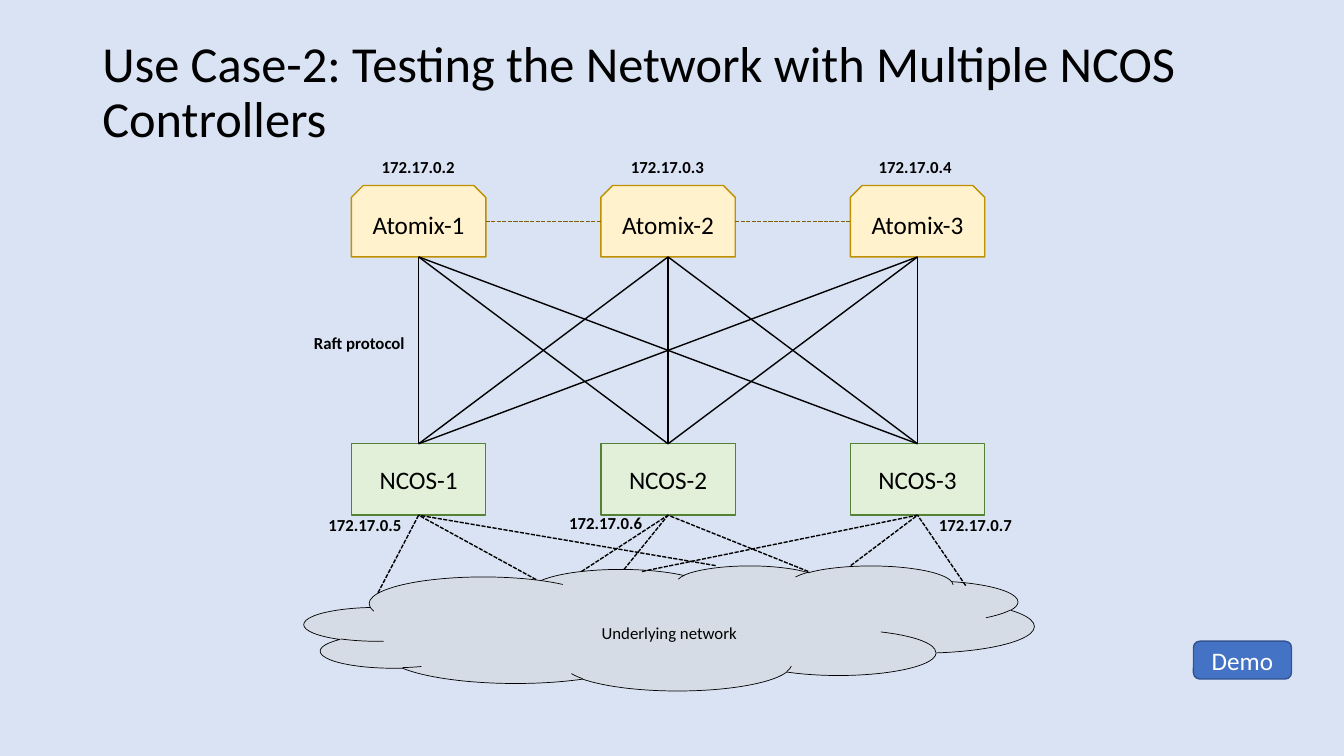
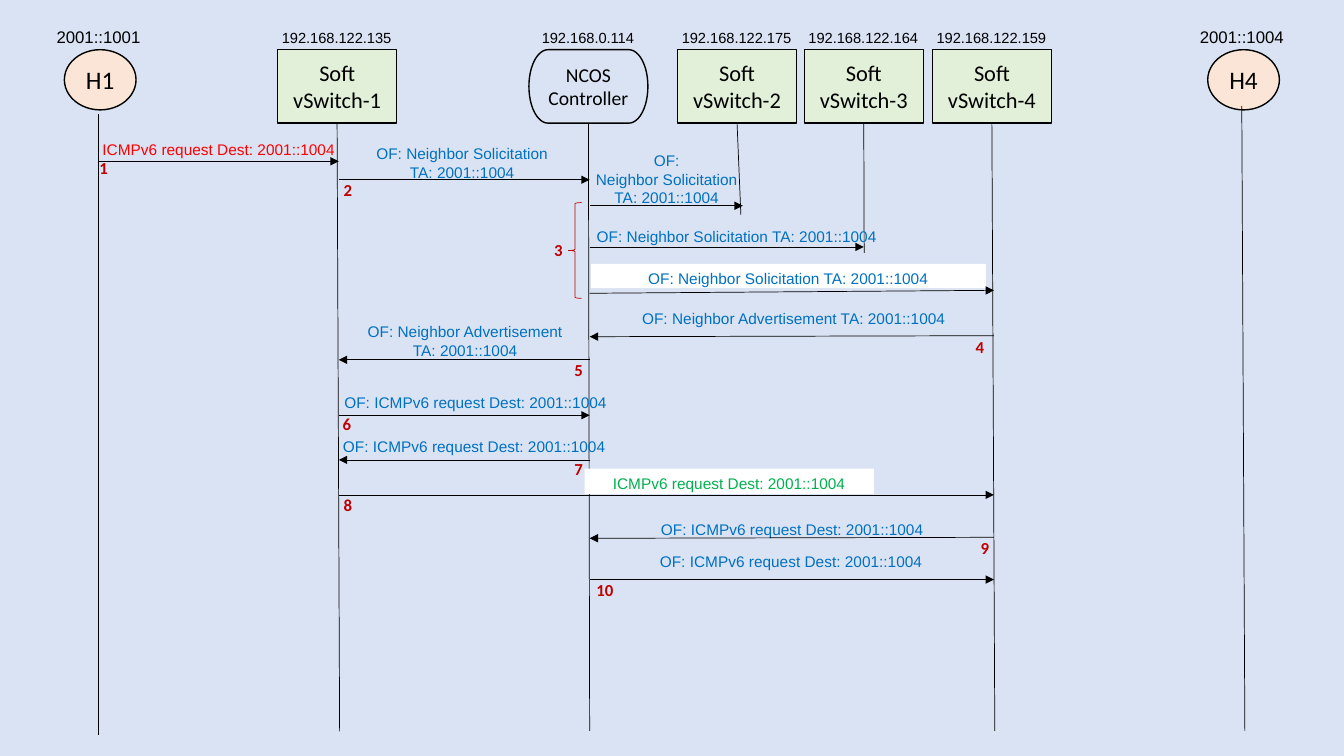
"""Build two slides: a controller cluster diagram and an ICMPv6 message sequence."""
from lxml import etree
from pptx import Presentation
from pptx.dml.color import RGBColor
from pptx.enum.dml import MSO_LINE
from pptx.enum.shapes import MSO_CONNECTOR, MSO_SHAPE as SHAPE
from pptx.enum.text import MSO_ANCHOR as ANCHOR, PP_ALIGN as ALIGN
from pptx.oxml.ns import qn
from pptx.util import Pt

rgb = RGBColor.from_string
BLACK, WHITE, PALE = "000000", "FFFFFF", "DAE3F3"
GREEN, BLUE, RED = "E2F0D9", "0070C0", "C00000"


def box(s, kind, x, y, w, h, text="", size=12, color=BLACK, font="Calibri", bold=False,
        fill=None, line=None, weight=1, anchor=ANCHOR.MIDDLE, align=ALIGN.CENTER,
        wrap=True, spacing=None):
    """Add a shape, or a text box when kind is None, with one paragraph per text line."""
    at = Pt(x), Pt(y), Pt(w), Pt(h)
    if kind is None:
        sp = s.shapes.add_textbox(*at)
    else:
        sp = s.shapes.add_shape(kind, *at)
        sp.shadow.inherit = False
    if fill:
        sp.fill.solid()
        sp.fill.fore_color.rgb = rgb(fill)
    else:
        sp.fill.background()
    if line:
        sp.line.color.rgb = rgb(line)
        sp.line.width = Pt(weight)
    else:
        sp.line.fill.background()
    tf = sp.text_frame
    tf.word_wrap = wrap
    tf.vertical_anchor = anchor
    for i, words in enumerate(text.split("\n") if text else []):
        p = tf.add_paragraph() if i else tf.paragraphs[0]
        p.alignment = align
        p.line_spacing = spacing
        r = p.add_run()
        r.text = words
        r.font.size = Pt(size)
        r.font.name = font
        r.font.bold = bold
        r.font.color.rgb = rgb(color)
    return sp


def link(s, x1, y1, x2, y2, color=BLACK, weight=1, dashed=False, arrow=False,
         begin=None, end=None):
    """Add a straight line; begin and end are (shape, site) pairs to join."""
    c = s.shapes.add_connector(MSO_CONNECTOR.STRAIGHT, Pt(x1), Pt(y1), Pt(x2), Pt(y2))
    if begin:
        c.begin_connect(*begin)
    if end:
        c.end_connect(*end)
    c.line.color.rgb = rgb(color)
    c.line.width = Pt(weight)
    if dashed:
        c.line.dash_style = MSO_LINE.SQUARE_DOT
    pr = c._element.spPr
    if arrow:
        etree.SubElement(pr.find(qn("a:ln")), qn("a:tailEnd"), type="triangle")
    etree.SubElement(pr, qn("a:effectLst"))


prs = Presentation()
prs.slide_width, prs.slide_height = Pt(960), Pt(540)
bg = prs.slide_master.background.fill
bg.solid()
bg.fore_color.rgb = rgb(PALE)
blank = prs.slide_layouts[6]

s = prs.slides.add_slide(blank)
box(s, None, 66, 28.75, 828, 80.5, "Use Case-2: Testing the Network with Multiple NCOS Controllers",
    36, anchor=ANCHOR.BOTTOM, align=ALIGN.LEFT, spacing=0.9)

NODE_W, NODE_H, ATOMIX_Y, CTRL_Y = 96, 51, 132.5, 317
lefts = [251 + 178.2 * i for i in range(3)]
mids = [x + NODE_W / 2 for x in lefts]
controllers = []
for n, x in enumerate(lefts, 1):
    box(s, SHAPE.SNIP_2_SAME_RECTANGLE, x, ATOMIX_Y, NODE_W, NODE_H, f"Atomix-{n}", 18,
        fill="FFF2CC", line="BF9000")
    controllers.append(box(s, SHAPE.RECTANGLE, x, CTRL_Y, NODE_W, NODE_H, f"NCOS-{n}", 18,
                           fill=GREEN, line="548235"))

for ctrl, x1 in zip(controllers, mids):
    for x2 in mids:
        link(s, x1, CTRL_Y, x2, ATOMIX_Y + NODE_H, begin=(ctrl, 0))
for left, right in zip(lefts, lefts[1:]):
    link(s, right, 158.4, left + NODE_W, 158.4, "806000", dashed=True)

for text, x, y in [
    ("172.17.0.2", 265.5, 108.7), ("172.17.0.3", 443.5, 108.7), ("172.17.0.4", 620.5, 108.7),
    ("172.17.0.5", 227.5, 364), ("172.17.0.6", 399.5, 363), ("172.17.0.7", 663.5, 364),
    ("Raft protocol", 217.2, 234),
]:
    width = 80.5 if text.startswith("Raft") else 67.5
    box(s, None, x, y, width, 21.8, text, bold=True, anchor=ANCHOR.TOP, align=ALIGN.LEFT,
        wrap=False)

box(s, SHAPE.ROUNDED_RECTANGLE, 852.5, 458, 70, 27, "Demo", 18, WHITE,
    fill="4472C4", line="325491")
box(s, SHAPE.CLOUD, 217.4, 404, 521.3, 89.3, fill="D6DCE5", line=BLACK, weight=0.5)
box(s, None, 422, 441.4, 112.3, 21.8, "Underlying network", anchor=ANCHOR.TOP, wrap=False)

uplinks = [
    [(270, 423.4), (383, 414), (511.2, 404)],
    [(415.4, 408.2), (445.7, 406.8), (577.4, 408.2)],
    [(607.7, 404), (689.8, 418.3), (458.6, 408.2)],
]
for ctrl, mid, ends in zip(controllers, mids, uplinks):
    for x, y in ends:
        link(s, x, y, mid, CTRL_Y + NODE_H, dashed=True, end=(ctrl, 2))

s = prs.slides.add_slide(blank)
TOP, PART_H = 35.5, 52.5
for name, address, x, y1, x2, y2 in [
    ("H1", "2001::1001", 70.6, 81.4, 70.6, 525),
    ("H4", "2001::1004", 887, 75.6, 889.2, 522),
]:
    left = 46 if name == "H1" else 862.7
    box(s, SHAPE.OVAL, left, TOP, 51.2, 43, name, 18, fill="FBE5D6", line=BLACK)
    box(s, None, left - 15.2, 15.8, 79.2, 23.8, address, font="Arial", anchor=ANCHOR.TOP)
    link(s, x, y1, x2, y2, weight=0.5)

for name, address, left, x2, y2 in [
    ("Soft vSwitch-1", "192.168.122.135", 198.3, 242.6, 522.5),
    ("NCOS Controller", "192.168.0.114", 377.8, 421.2, 522),
    ("Soft vSwitch-2", "192.168.122.175", 484, 529.2, 153.4),
    ("Soft vSwitch-3", "192.168.122.164", 574.5, 617.3, 180.7),
    ("Soft vSwitch-4", "192.168.122.159", 666, 710.6, 522),
]:
    is_ctrl = name == "NCOS Controller"
    sp = box(s, SHAPE.FLOWCHART_TERMINATOR if is_ctrl else SHAPE.RECTANGLE,
             left, TOP, 85, PART_H, name, 14 if is_ctrl else 16,
             fill=PALE if is_ctrl else GREEN, line=BLACK)
    box(s, None, left - 4.6, 17.3, 93.6, 22.3, address, 10.5, font="Arial", anchor=ANCHOR.TOP)
    link(s, left + 42.5, TOP + PART_H, x2, y2, weight=0.5, begin=(sp, 2))

SOLICIT, ADVERT = "OF: Neighbor Solicitation", "OF: Neighbor Advertisement"
TARGET, PING = "TA: 2001::1004", "ICMPv6 request Dest: 2001::1004"
S1, CTRL, S2, S3, S4 = 242, 421.2, 530.6, 617, 710
for text, color, fill, x, y, w, h, x1, y1, x2, y2 in [
    (PING, "FF0000", None, 62, 96.5, 188.6, 20, 70.6, 115.2, S1, 115.2),
    (f"{SOLICIT}\n{TARGET}", BLUE, None, 240.5, 99.4, 179.3, 32.4, S1, 128.4, CTRL, 128.4),
    ("OF:\nNeighbor Solicitation\n" + TARGET, BLUE, None, 386.6, 104.4, 179.3, 37.4,
     CTRL, 147, S2, 147),
    (f"{SOLICIT} {TARGET}", BLUE, None, 416.9, 158.4, 218.9, 17.3, CTRL, 176.4, S3, 176.4),
    (f"{SOLICIT} {TARGET}", BLUE, WHITE, 422, 188.6, 282.2, 17.3, CTRL, 209.5, S4, 207.4),
    (f"{ADVERT} {TARGET}", BLUE, None, 423.4, 217.4, 287.3, 20.9, S4, 239.8, CTRL, 240.5),
    (f"{ADVERT}\n{TARGET}", BLUE, None, 242.6, 226.8, 179.3, 32.4, CTRL, 257, S1, 257),
    (f"OF: {PING}", BLUE, None, 234.7, 277.2, 210.2, 32.4, S1, 296.6, CTRL, 296.6),
    (f"OF: {PING}", BLUE, None, 236.8, 308.9, 204, 32.4, CTRL, 328.5, S1, 328.5),
    (PING, "00B050", WHITE, 417.6, 334.8, 206.6, 18, S1, 353.5, S4, 353.5),
    (f"OF: {PING}", BLUE, None, 422, 368, 288, 17.3, S4, 383.8, CTRL, 384.5),
    (f"OF: {PING}", BLUE, None, 421.2, 391, 288, 17.3, CTRL, 414, S4, 414),
]:
    box(s, SHAPE.RECTANGLE if fill else None, x, y, w, h, text, 11, color, "Arial", fill=fill,
        anchor=ANCHOR.TOP)
    link(s, x1, y1, x2, y2, weight=0.5, arrow=True)

steps = [(64, 109.4), (238.3, 124.6), (388.8, 167.8), (689.8, 236.9), (403.2, 253.4),
         (237.6, 292.3), (403.2, 324), (238.3, 350), (693.4, 380.2), (419, 410.4)]
for n, (x, y) in enumerate(steps, 1):
    box(s, None, x, y, 16.6 if n < 10 else 28.8, 21.8, str(n), color=RED, bold=True,
        anchor=ANCHOR.TOP, align=ALIGN.LEFT)
box(s, SHAPE.LEFT_BRACE, 406, 144.7, 9.4, 68.4, line=RED, weight=0.5)

prs.save("out.pptx")
